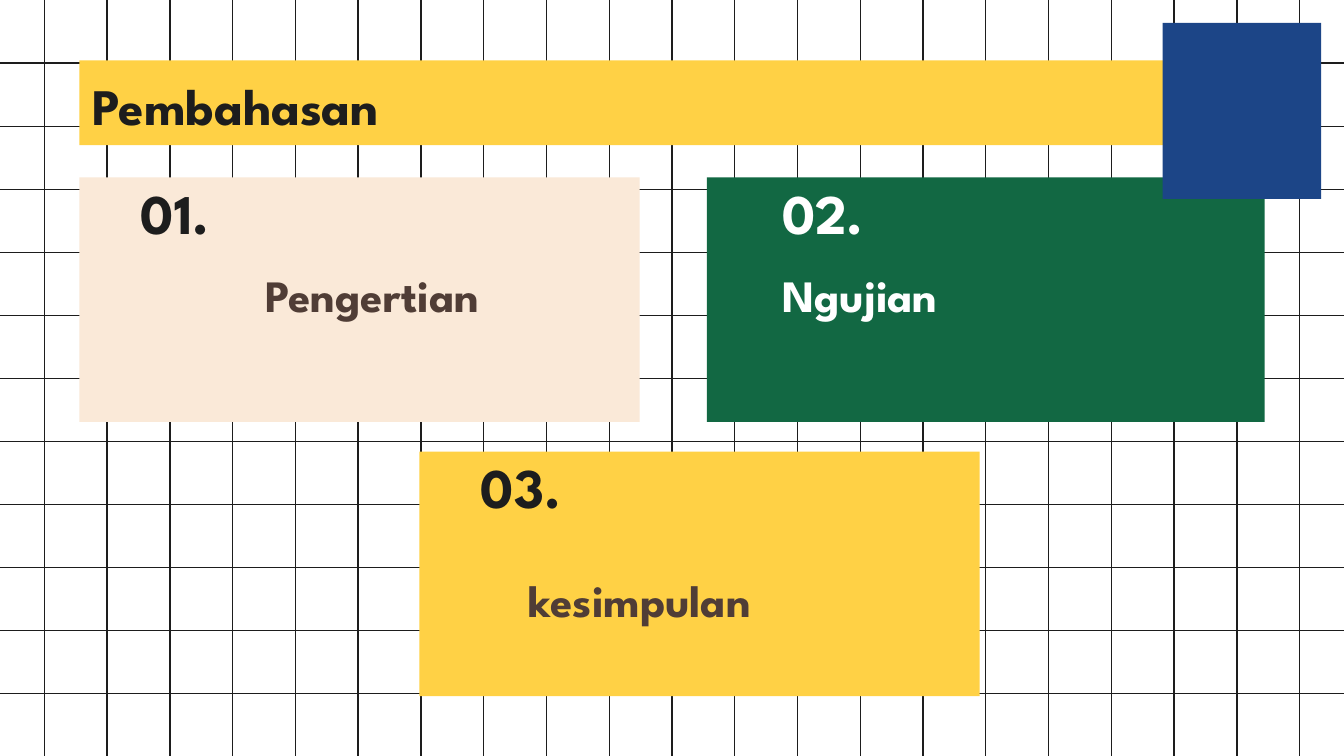
from dataclasses import dataclass
from lxml import etree
from pptx import Presentation
from pptx.dml.color import RGBColor as RGB
from pptx.enum.shapes import MSO_CONNECTOR as CONN, MSO_SHAPE as SHAPE
from pptx.enum.text import MSO_ANCHOR as ANCHOR, MSO_AUTO_SIZE as AUTO, PP_ALIGN as ALIGN
from pptx.oxml.ns import qn
from pptx.util import Inches, Pt


@dataclass(frozen=True)
class Theme:
    font: str = "League Spartan"
    ink: str = "1D1D1D"
    brown: str = "503D36"
    white: str = "FFFFFF"
    cream: str = "FAE9D8"
    green: str = "126843"
    yellow: str = "FFD145"
    blue: str = "1C4587"
    title: float = 27.4
    number: float = 30
    label: float = 24
    grid: float = 0.75


T = Theme()


def add_rect(x, y, w, h, color):
    sp = s.shapes.add_shape(SHAPE.RECTANGLE, Inches(x), Inches(y), Inches(w), Inches(h))
    sp.shadow.inherit = False
    sp.fill.solid()
    sp.fill.fore_color.rgb = RGB.from_string(color)
    sp.line.fill.background()


def set_text(sp, text, size, color, align=ALIGN.LEFT, anchor=ANCHOR.MIDDLE):
    tf = sp.text_frame
    tf.word_wrap = True
    tf.auto_size = AUTO.NONE
    tf.vertical_anchor = anchor
    tf.margin_left = tf.margin_right = tf.margin_top = tf.margin_bottom = Inches(0.1)
    p = tf.paragraphs[0]
    p.alignment = align
    r = p.add_run()
    r.text = text
    r.font.name = T.font
    r.font.size = Pt(size)
    r.font.bold = True
    r.font.color.rgb = RGB.from_string(color)
    return p


prs = Presentation()
prs.slide_width = Inches(10)
prs.slide_height = Inches(10) * 9 // 16
s = prs.slides.add_slide(prs.slide_layouts[5])
s.background.fill.solid()
s.background.fill.fore_color.rgb = RGB.from_string(T.white)

rows = [0.47 + i * (5.16 - 0.47) / 10 for i in range(11)]
columns = [0.33 + i * (9.67 - 0.33) / 20 for i in range(21)]
grid = [(-0.14, y, 10.14, y) for y in rows] + [(x, -0.08, x, 5.71) for x in columns]
for ends in grid:
    line = s.shapes.add_connector(CONN.STRAIGHT, *[Inches(v) for v in ends])
    line.line.color.rgb = RGB.from_string(T.ink)
    line.line.width = Pt(T.grid)
    etree.SubElement(line._element.spPr, qn("a:effectLst"))

cards = [
    (0.59, 1.32, 4.17, T.cream, "01.", T.ink, "Pengertian", T.brown, 0.36, 3.64, ALIGN.CENTER, None),
    (5.26, 1.32, 4.15, T.green, "02.", T.white, "Ngujian", T.white, 0.46, 3.49, ALIGN.LEFT, None),
    (3.12, 3.36, 4.17, T.yellow, "03.", T.ink, "kesimpulan", T.brown, 0.36, 2.56, ALIGN.CENTER, 62.2),
]
for x, y, w, fill, number, number_color, label, label_color, indent, label_w, align, spacing in cards:
    add_rect(x, y, w, 1.82, fill)
    left = Inches(x + indent)
    label_box = s.shapes.add_textbox(left, Inches(y + 0.58), Inches(label_w), Inches(0.58))
    p = set_text(label_box, label, T.label, label_color, align)
    if spacing:
        p.line_spacing = Pt(spacing)
    number_box = s.shapes.add_textbox(left, Inches(y - 0.07), Inches(1.39), Inches(0.65))
    set_text(number_box, number, T.number, number_color)

title = s.shapes.title
title.left, title.top, title.width, title.height = Inches(0.59), Inches(0.45), Inches(8.82), Inches(0.63)
title.fill.solid()
title.fill.fore_color.rgb = RGB.from_string(T.yellow)
set_text(title, "Pembahasan", T.title, T.ink, anchor=ANCHOR.TOP)
s.shapes._spTree.append(title._element)

add_rect(8.65, 0.17, 1.18, 1.31, T.blue)

prs.save("out.pptx")
